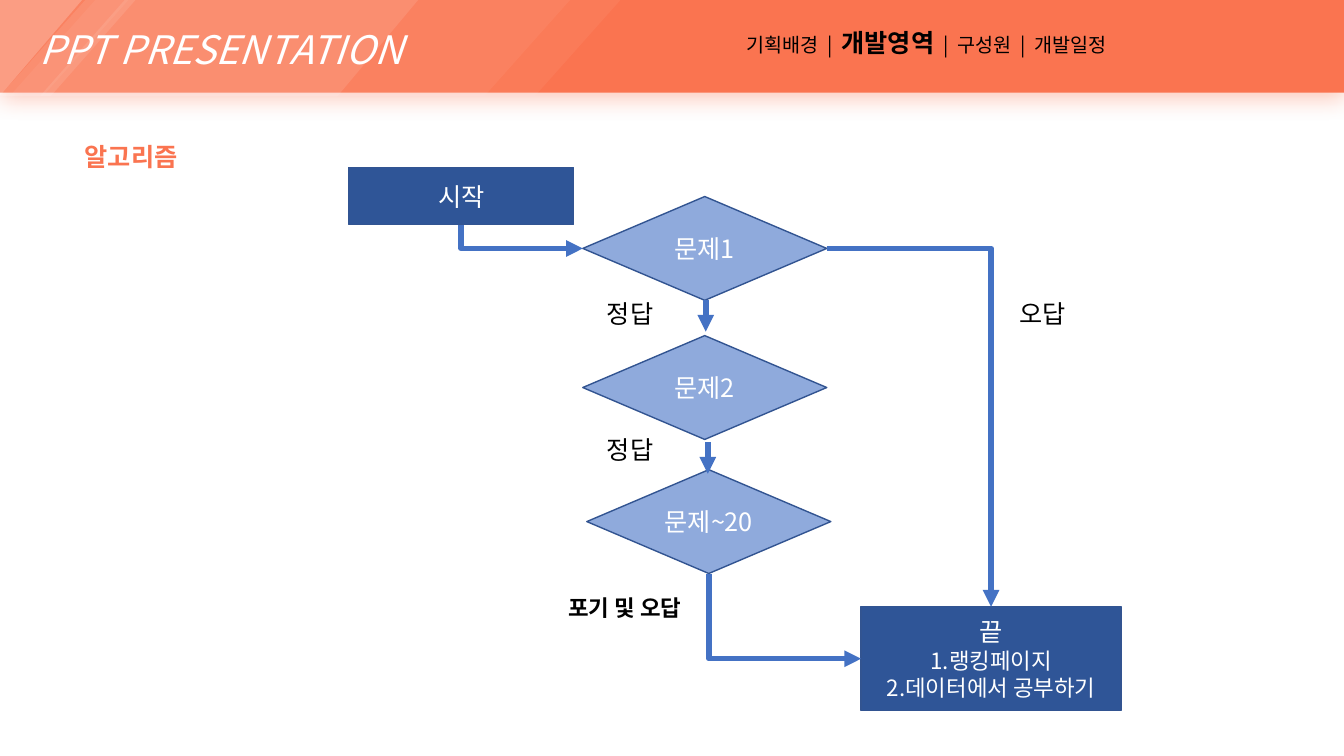
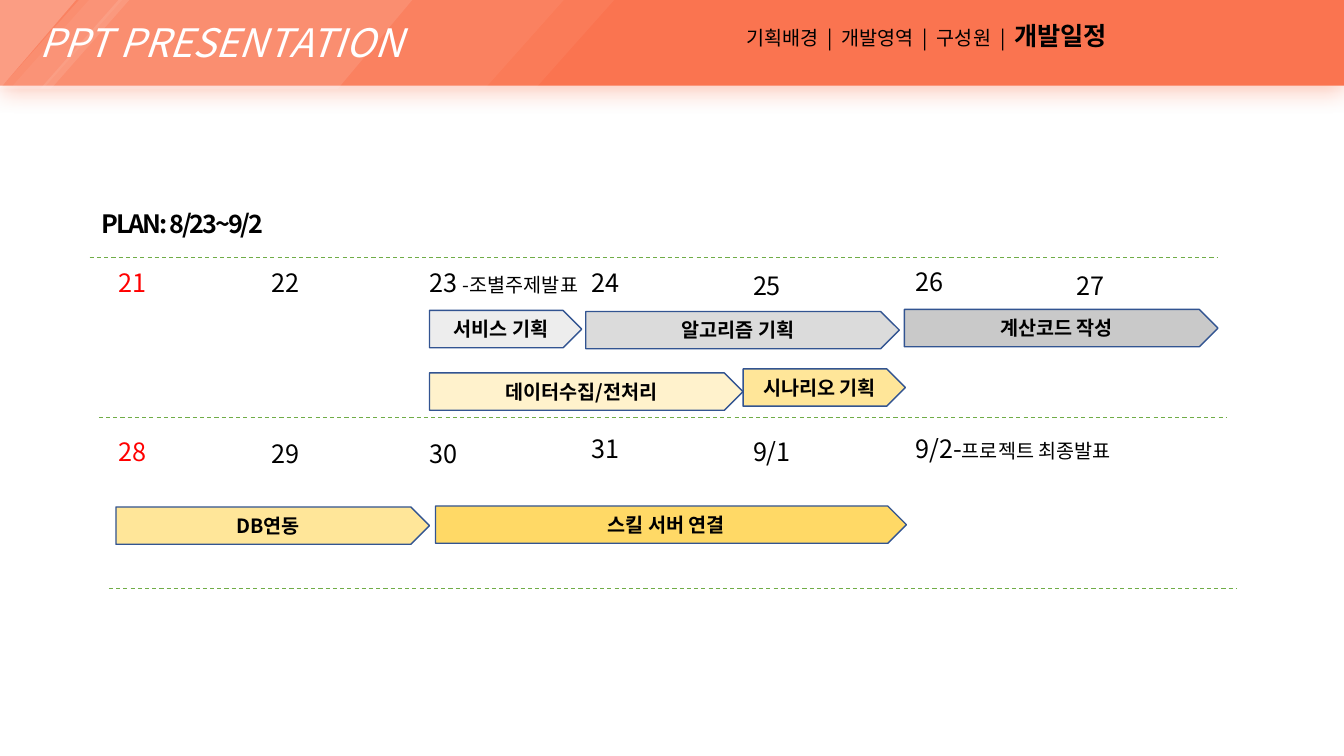
from lxml import etree
from pptx import Presentation
from pptx.dml.color import RGBColor
from pptx.enum.dml import MSO_LINE
from pptx.enum.shapes import MSO_CONNECTOR, MSO_SHAPE
from pptx.enum.text import MSO_ANCHOR, MSO_AUTO_SIZE, PP_ALIGN
from pptx.oxml.ns import qn
from pptx.util import Inches, Pt

RECT, DIAMOND = MSO_SHAPE.RECTANGLE, MSO_SHAPE.FLOWCHART_DECISION
SLANT, CORNER = MSO_SHAPE.PARALLELOGRAM, MSO_SHAPE.RIGHT_TRIANGLE
RAMP, ARROW_BAR = MSO_SHAPE.FLOWCHART_MANUAL_INPUT, MSO_SHAPE.PENTAGON
STRAIGHT, ELBOW = MSO_CONNECTOR.STRAIGHT, MSO_CONNECTOR.ELBOW
LEFT, CENTER, RIGHT = PP_ALIGN.LEFT, PP_ALIGN.CENTER, PP_ALIGN.RIGHT
DASH = MSO_LINE.DASH
TOP_SITE, LEFT_SITE, BOTTOM_SITE, RIGHT_SITE = range(4)

FONT = "Noto Sans CJK KR"
ORANGE, WHITE, BLACK, RED = "FA7450", "FFFFFF", "000000", "FF0000"
NAVY, OUTLINE, PALE_BLUE, BLUE, GREEN = "2F5597", "325491", "8FAADC", "4472C4", "70AD47"
WIDTH, HEIGHT = 13.33, 7.5
SECTIONS = ["기획배경", "개발영역", "구성원", "개발일정"]
DIAMOND_SIZE = (2.42, 1.03)
DAY_COLUMNS = [1.08, 2.59, 4.16, 5.77, 7.37, 8.98, 10.58]
BAR_HEIGHT = 0.37


def rgb(color):
    """Turn a hex string into a colour."""
    return RGBColor.from_string(color)


def add_xml(parent, tag, **attributes):
    """Append a drawing element and return it."""
    return etree.SubElement(parent, qn(tag), attributes)


def style_paragraph(para, runs, color, align=LEFT, bold=False):
    """Fill a paragraph with (text, size, extras) runs in the deck's font."""
    para.alignment = align
    font = para.font
    font.name, font.bold, font.color.rgb = FONT, bold, rgb(color)
    sizes = {size for _, size, *_ in runs}
    if len(sizes) == 1:
        font.size = Pt(sizes.pop())
    defaults = para._p.pPr.find(qn("a:defRPr"))
    defaults.find(qn("a:latin")).addnext(defaults.makeelement(qn("a:ea"), {"typeface": FONT}))
    for text, size, *strong in runs:
        span = para.add_run()
        span.text = text
        if font.size is None:
            span.font.size = Pt(size)
        if strong:
            span.font.bold = True


def add_text(page, at, runs, color=BLACK, align=LEFT, bold=False, wrap=True):
    """Add a text box with one paragraph."""
    box = page.shapes.add_textbox(*map(Inches, at))
    frame = box.text_frame
    frame.word_wrap = wrap
    frame.auto_size = MSO_AUTO_SIZE.SHAPE_TO_FIT_TEXT
    style_paragraph(frame.paragraphs[0], runs, color, align, bold)


def add_block(page, kind, at, fill, outline=None, opacity=None):
    """Add a flat preset shape, outlined or see-through if asked."""
    block = page.shapes.add_shape(kind, *map(Inches, at))
    block.shadow.inherit = False
    block.fill.solid()
    block.fill.fore_color.rgb = rgb(fill)
    if outline:
        block.line.color.rgb = rgb(outline)
        block.line.width = Pt(1)
    else:
        block.line.fill.background()
    if opacity:
        color = block._element.spPr.find(qn("a:solidFill"))[0]
        add_xml(color, "a:alpha", val=str(opacity * 1000))
    return block


def add_labelled(page, kind, at, fill, lines, color=WHITE, bold=False):
    """Add an outlined shape with centred (text, size) lines."""
    block = add_block(page, kind, at, fill, OUTLINE)
    frame = block.text_frame
    frame.vertical_anchor = MSO_ANCHOR.MIDDLE
    for index, line in enumerate(lines):
        para = frame.add_paragraph() if index else frame.paragraphs[0]
        style_paragraph(para, [line], color, CENTER, bold)
    return block


def add_line(page, start, end, color, weight, kind=STRAIGHT):
    """Add a connector without a shadow."""
    line = page.shapes.add_connector(kind, *map(Inches, start + end))
    line.line.color.rgb = rgb(color)
    line.line.width = Pt(weight)
    add_xml(line._element.spPr, "a:effectLst")
    return line


def add_arrow(page, start, end, kind=STRAIGHT):
    """Add a flow arrow with a triangle at its end."""
    arrow = add_line(page, start, end, BLUE, 4, kind)
    add_xml(arrow._element.spPr.find(qn("a:ln")), "a:tailEnd", type="triangle")
    return arrow


def site_position(block, site):
    """Return the point of a block's connection site."""
    middle_x, middle_y = block.left + block.width // 2, block.top + block.height // 2
    return {TOP_SITE: (middle_x, block.top), LEFT_SITE: (block.left, middle_y),
            BOTTOM_SITE: (middle_x, block.top + block.height),
            RIGHT_SITE: (block.left + block.width, middle_y)}[site]


def add_corner_arrow(page, source, source_site, target, target_site):
    """Join two blocks by an arrow with a single right-angle turn."""
    arrow = add_arrow(page, (0, 0), (1, 1), ELBOW)
    arrow.begin_connect(source, source_site)
    arrow.end_connect(target, target_site)
    x, y = site_position(source, source_site)
    end_x, end_y = site_position(target, target_site)
    across, down = end_x - x, end_y - y
    properties = arrow._element.spPr
    properties.find(qn("a:prstGeom")).set("prst", "bentConnector2")
    if source_site == BOTTOM_SITE:
        x, y = x + (across - down) // 2, y + (down - across) // 2
        across, down = down, across
        frame = properties.find(qn("a:xfrm"))
        frame.set("rot", "16200000")
        frame.set("flipH", "1")
    arrow.left, arrow.top, arrow.width, arrow.height = x, y, across, down


def add_header(page, current, top):
    """Add the orange band, its light streaks and the section list."""
    band = add_block(page, RECT, (0, top, WIDTH, 0.92), ORANGE)
    effects = band._element.spPr.find(qn("a:effectLst"))
    shadow = add_xml(effects, "a:outerShdw", blurRad=str(Pt(17)), dist=str(Pt(3)),
                     dir="5400000", algn="t", rotWithShape="0")
    add_xml(add_xml(shadow, "a:srgbClr", val=ORANGE), "a:alpha", val="40000")
    band.text_frame.vertical_anchor = MSO_ANCHOR.MIDDLE
    para = band.text_frame.paragraphs[0]
    style_paragraph(para, [("PPT PRESENTATION", 28), (" ", 32)], WHITE)
    para.font.italic = True
    para._p.pPr.set("marL", str(Inches(0.29)))

    ramp = add_block(page, RAMP, (1.59, top - 1.64, 1, 4.19), WHITE, opacity=10)
    ramp.rotation = 90
    ramp._element.spPr.find(qn("a:xfrm")).set("flipH", "1")
    streaks = [(SLANT, 0, 6.18, 5), (SLANT, 0, 5.68, 5), (CORNER, 0, 0.84, 22),
               (SLANT, 0.1, 1.2, 5), (SLANT, 0.4, 0.97, 10)]
    for kind, left, width, opacity in streaks:
        streak = add_block(page, kind, (left, top - 0.03, width, 0.98), WHITE, opacity=opacity)
        if kind == SLANT:
            streak.adjustments[0] = 0.89
        else:
            streak._element.spPr.find(qn("a:xfrm")).set("flipV", "1")

    runs = []
    for index, section in enumerate(SECTIONS):
        if index:
            runs.append(("  |  ", 14))
        runs.append((section, 18, True) if section == current else (section, 14))
    add_text(page, (6.77, top + 0.22, 4.35, 0.4), runs + [(" ", 14)], align=RIGHT)


def add_page(deck, title, at, color, align, section, band_top):
    """Add a title-only slide with the shared header and a bold title."""
    page = deck.slides.add_slide(deck.slide_layouts[5])
    add_header(page, section, band_top)
    box = page.shapes.title
    box.left, box.top, box.width, box.height = map(Inches, at)
    frame = box.text_frame
    frame.auto_size = MSO_AUTO_SIZE.NONE
    frame.vertical_anchor = MSO_ANCHOR.TOP
    style_paragraph(frame.paragraphs[0], [(title, 18)], color, align, True)
    return page


def build_algorithm(deck):
    """Build the quiz flowchart."""
    page = add_page(deck, "알고리즘", (-0.23, 1.2, 3.06, 0.5), ORANGE, CENTER, "개발영역", 0)
    page.shapes.title.text_frame.paragraphs[0].line_spacing = 1.5
    start = add_labelled(page, RECT, (3.46, 1.66, 2.23, 0.57), NAVY, [("시작", 18)])
    finish = add_labelled(page, RECT, (8.54, 6.02, 2.58, 1.03), NAVY,
                          [("끝", 18), ("1.랭킹페이지", 16), ("2.데이터에서 공부하기", 16)])
    first, _, last = [
        add_labelled(page, DIAMOND, (left, top, *DIAMOND_SIZE), PALE_BLUE, [(label, 18)])
        for label, left, top in [("문제1", 5.78, 1.95), ("문제2", 5.78, 3.33),
                                 ("문제~20", 5.82, 4.66)]]
    for x, top in [(7, 2.98), (7.02, 4.39)]:
        add_arrow(page, (x, top), (x, top + 0.31))
    add_corner_arrow(page, start, BOTTOM_SITE, first, LEFT_SITE)
    add_corner_arrow(page, first, RIGHT_SITE, finish, TOP_SITE)
    add_corner_arrow(page, last, BOTTOM_SITE, finish, LEFT_SITE)
    for label, left, top in [("정답", 5.92, 2.91), ("정답", 5.92, 4.26), ("오답", 10.01, 2.91)]:
        add_text(page, (left, top, 0.81, 0.37), [(label, 18)])
    add_text(page, (5.54, 5.85, 1.57, 0.34), [("포기 및 오답", 16)], bold=True)


def build_schedule(deck):
    """Build the two-week plan."""
    page = add_page(deck, "PLAN: 8/23~9/2", (0.91, 2.02, 2.2, 0.4), BLACK, LEFT, "개발일정", -0.07)
    title = page.shapes.title.text_frame.paragraphs[0]
    title.runs[0]._r.get_or_add_rPr().set("spc", "-150")
    for left, y in [(0.89, 2.55), (0.98, 4.14), (1.08, 5.84)]:
        rule = add_line(page, (left, y), (left + 11.19, y), GREEN, 0.75)
        rule.line.dash_style = DASH

    weeks = [
        [("21", 2.6), ("22", 2.6), ("23 ", 2.6, "-조별주제발표"), ("24", 2.6),
         ("25", 2.63), ("26", 2.59), ("27", 2.63)],
        [("28", 4.28), ("29", 4.3), ("30", 4.3), ("31", 4.25),
         ("9/1", 4.28), ("9/2-", 4.25, "프로젝트 최종발표")]]
    for week in weeks:
        for index, (day, top, *notes) in enumerate(week):
            runs = [(day, 18)] + [(note, 14) for note in notes]
            width = 0.48 if not notes else 1.83 if index == 2 else 2.32
            if day == "9/1":
                width = 0.58
            add_text(page, (DAY_COLUMNS[index], top, width, 0.4), runs,
                     BLACK if index else RED, wrap=False)

    tasks = [("서비스 기획", 4.26, 3.08, 1.51, "EDEDED"),
             ("데이터수집/전처리", 4.26, 3.7, 3.11, "FFF2CC"),
             ("알고리즘 기획", 5.81, 3.09, 3.11, "DBDBDB"),
             ("시나리오 기획", 7.37, 3.66, 1.61, "FFE699"),
             ("계산코드 작성", 8.97, 3.07, 3.11, "C9C9C9"),
             ("DB연동", 1.15, 5.03, 3.11, "FFE699"),
             ("스킬 서버 연결", 4.32, 5.02, 4.67, "FFD966")]
    for label, left, top, width, fill in tasks:
        add_labelled(page, ARROW_BAR, (left, top, width, BAR_HEIGHT), fill,
                     [(label, 14)], BLACK, True)


def main():
    """Build and save the deck."""
    deck = Presentation()
    deck.slide_width, deck.slide_height = Inches(WIDTH), Inches(HEIGHT)
    build_algorithm(deck)
    build_schedule(deck)
    deck.save("out.pptx")


main()
